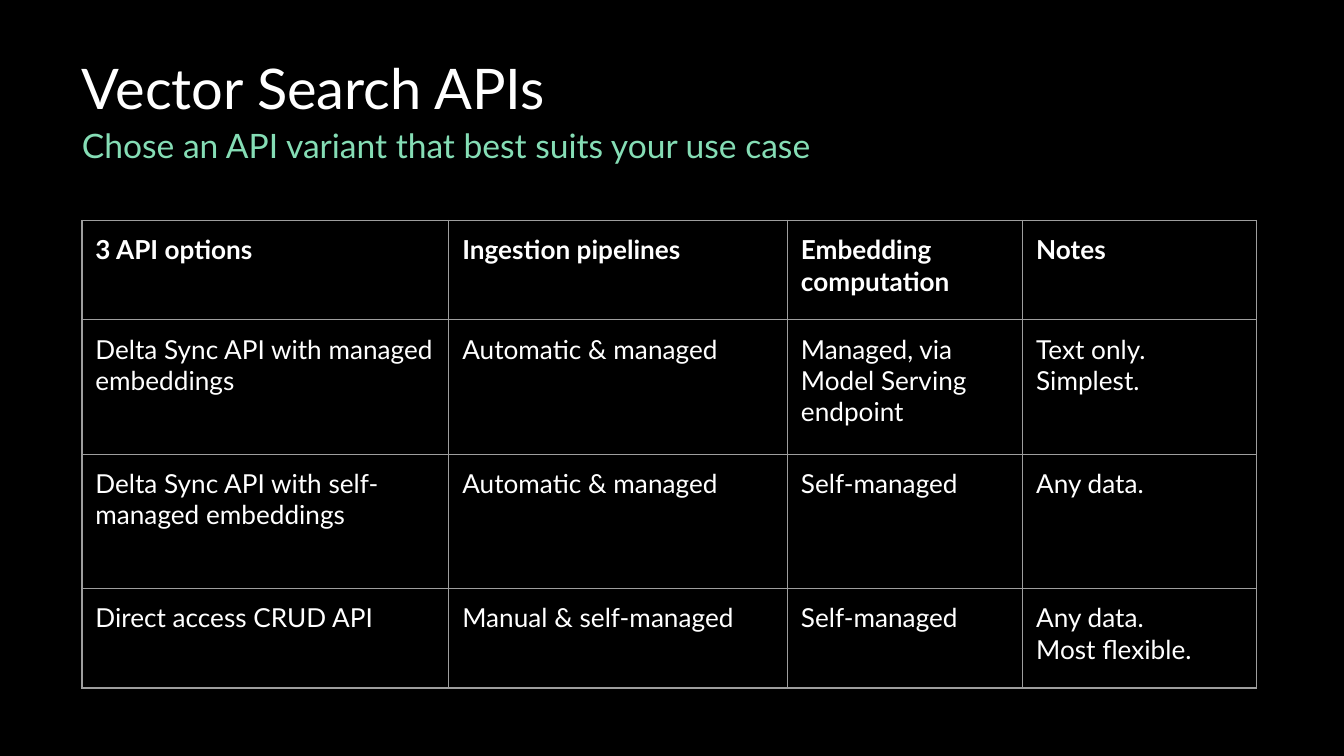
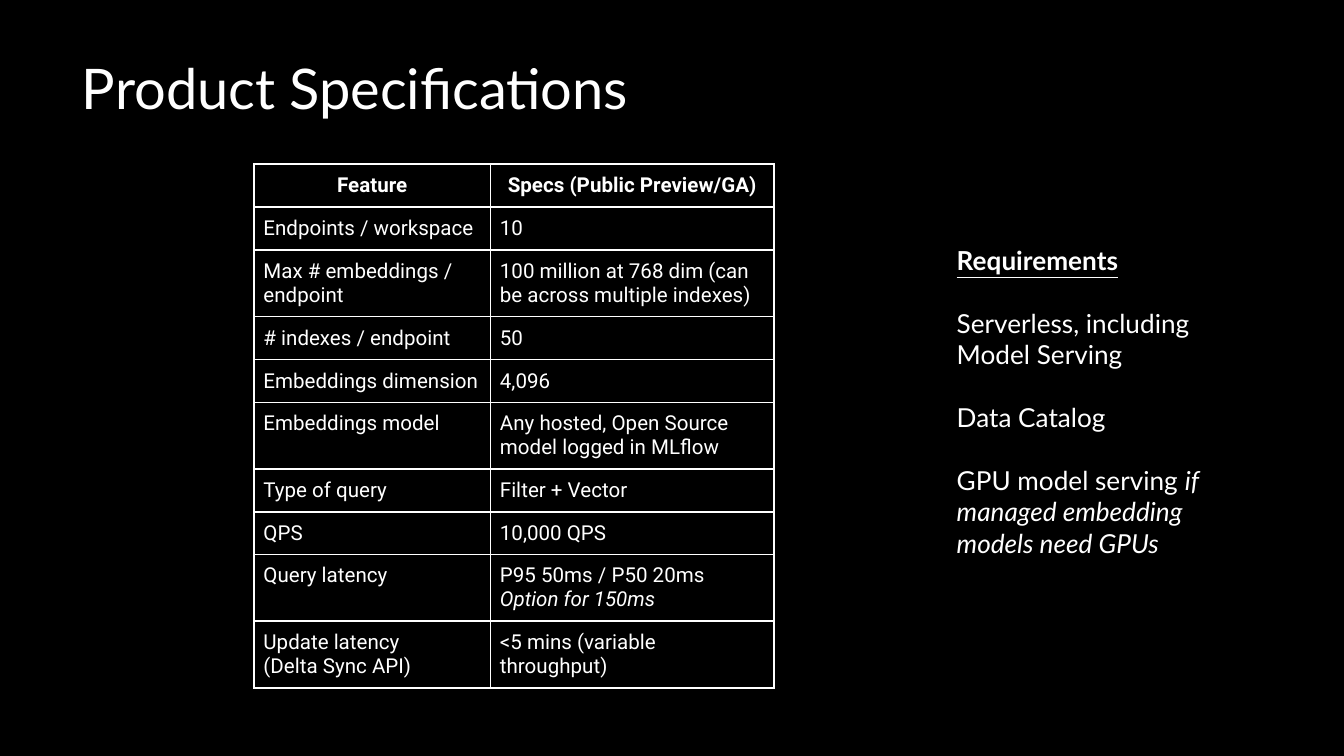
from dataclasses import dataclass
from typing import Sequence, Union

from lxml import etree
from pptx import Presentation
from pptx.dml.color import RGBColor
from pptx.enum import text as enums
from pptx.oxml import ns
from pptx.util import Inches, Length, Pt

BLACK = RGBColor(0x00, 0x00, 0x00)
WHITE = RGBColor(0xFF, 0xFF, 0xFF)
GREY = RGBColor(0x9E, 0x9E, 0x9E)
MINT = RGBColor(0x85, 0xDD, 0xB5)
HEADING_FONT = "Lato"
SPECS_FONT = "Roboto"
PAGE_WIDTH = Inches(10)
PAGE_HEIGHT = PAGE_WIDTH * 9 // 16
LEFT = Inches(0.61)


@dataclass(frozen=True)
class Span:
    text: str
    bold: bool = False
    italic: bool = False
    underline: bool = False


@dataclass(frozen=True)
class Style:
    font: str
    size: float
    color: RGBColor = WHITE
    align: enums.PP_ALIGN = enums.PP_ALIGN.LEFT
    line_spacing: float = 1.0
    gap: float = 0


Cell = Union[str, Sequence[Sequence[Span]]]


@dataclass(frozen=True)
class Grid:
    left: Length
    top: Length
    columns: Sequence[float]
    heights: Sequence[float]
    rows: Sequence[Sequence[Cell]]
    style: Style
    header_align: enums.PP_ALIGN
    inset: Length
    border: RGBColor
    border_width: Length


def plain(content: Cell, bold: bool = False) -> Sequence[Sequence[Span]]:
    """Turn each line of a string into a paragraph of one span."""
    if isinstance(content, str):
        return [[Span(line, bold)] for line in content.split("\n")]
    return content


def write(frame, paragraphs: Sequence[Sequence[Span]], style: Style,
          align: enums.PP_ALIGN) -> None:
    frame.word_wrap = True
    for index, spans in enumerate(paragraphs):
        para = frame.paragraphs[0] if index == 0 else frame.add_paragraph()
        para.alignment = align
        para.line_spacing = style.line_spacing
        para.space_before = Pt(style.gap if index else 0)
        for span in spans:
            run = para.add_run()
            run.text = span.text
            run.font.name = style.font
            run.font.size = Pt(style.size)
            run.font.color.rgb = style.color
            run.font.bold = span.bold
            run.font.italic = span.italic
            run.font.underline = span.underline


def set_insets(owner, inset: Length) -> None:
    owner.margin_left = owner.margin_right = inset
    owner.margin_top = owner.margin_bottom = inset


def fill_heading(box, words: str, top: float, style: Style,
                 anchor: enums.MSO_ANCHOR) -> None:
    box.left, box.top = LEFT, Inches(top)
    box.width, box.height = Inches(8.75), Inches(0.48)
    frame = box.text_frame
    frame.auto_size = enums.MSO_AUTO_SIZE.NONE
    frame.vertical_anchor = anchor
    set_insets(frame, Inches(0))
    write(frame, plain(words), style, style.align)


def add_page(deck, layout: int, title: str):
    page = deck.slides.add_slide(deck.slide_layouts[layout])
    style = Style(HEADING_FONT, 30, line_spacing=0.9)
    fill_heading(page.shapes.title, title, 0.44, style, enums.MSO_ANCHOR.MIDDLE)
    return page


def set_borders(cell, color: RGBColor, width: Length) -> None:
    properties = cell._tc.get_or_add_tcPr()
    for side in ("a:lnL", "a:lnR", "a:lnT", "a:lnB"):
        line = etree.SubElement(properties, ns.qn(side), w=str(int(width)))
        solid = etree.SubElement(line, ns.qn("a:solidFill"))
        etree.SubElement(solid, ns.qn("a:srgbClr"), val=str(color))


def add_grid(page, grid: Grid) -> None:
    table = page.shapes.add_table(
        len(grid.rows), len(grid.columns), grid.left, grid.top,
        Inches(sum(grid.columns)), Inches(sum(grid.heights))).table
    table.horz_banding = False
    table.first_row = False
    for column, width in zip(table.columns, grid.columns):
        column.width = Inches(width)
    for row, height in zip(table.rows, grid.heights):
        row.height = Inches(height)
    for row_index, contents in enumerate(grid.rows):
        header = row_index == 0
        align = grid.header_align if header else grid.style.align
        for column_index, content in enumerate(contents):
            cell = table.cell(row_index, column_index)
            set_insets(cell, grid.inset)
            set_borders(cell, grid.border, grid.border_width)
            cell.fill.background()
            write(cell.text_frame, plain(content, bold=header), grid.style, align)


API_GRID = Grid(
    left=LEFT, top=Inches(1.64),
    columns=(2.73, 2.52, 1.75, 1.74),
    heights=(0.74, 1, 1, 0.74),
    rows=(
        ("3 API options", "Ingestion pipelines", "Embedding computation", "Notes"),
        ("Delta Sync API with managed embeddings", "Automatic & managed",
         "Managed, via Model Serving endpoint", "Text only.\nSimplest."),
        ("Delta Sync API with self-managed embeddings", "Automatic & managed",
         "Self-managed", "Any data."),
        ("Direct access CRUD API", "Manual & self-managed",
         "Self-managed", "Any data.\nMost flexible."),
    ),
    style=Style(HEADING_FONT, 14), header_align=enums.PP_ALIGN.LEFT,
    inset=Inches(0.1), border=GREY, border_width=Pt(0.75),
)

SPECS_GRID = Grid(
    left=Inches(1.89), top=Inches(1.22),
    columns=(1.76, 2.11),
    heights=(0.32,) * 4 + (0.29,) * 6,
    rows=(
        ("Feature", "Specs (Public Preview/GA)"),
        ("Endpoints / workspace", "10"),
        ("Max # embeddings / endpoint",
         "100 million at 768 dim (can be across multiple indexes)"),
        ("# indexes / endpoint", "50"),
        ("Embeddings dimension", "4,096"),
        ("Embeddings model", "Any hosted, Open Source model logged in MLflow"),
        ("Type of query", "Filter + Vector"),
        ("QPS", "10,000 QPS"),
        ("Query latency", [[Span("P95 50ms / P50 20ms")],
                           [Span("Option for 150ms", italic=True)]]),
        ("Update latency\n(Delta Sync API)", "<5 mins (variable throughput)"),
    ),
    style=Style(SPECS_FONT, 11), header_align=enums.PP_ALIGN.CENTER,
    inset=Inches(0.07), border=WHITE, border_width=Pt(1),
)

REQUIREMENTS = (
    [Span("Requirements", bold=True, underline=True)],
    [Span("Serverless, including Model Serving")],
    [Span("Data Catalog")],
    [Span("GPU model serving "),
     Span("if managed embedding models need GPUs", italic=True)],
)


def add_api_page(deck) -> None:
    page = add_page(deck, 0, "Vector Search APIs")
    fill_heading(page.placeholders[1],
                 "Chose an API variant that best suits your use case", 0.96,
                 Style(HEADING_FONT, 18, MINT, line_spacing=0.9),
                 enums.MSO_ANCHOR.TOP)
    add_grid(page, API_GRID)


def add_specs_page(deck) -> None:
    page = add_page(deck, 5, "Product Specifications")
    add_grid(page, SPECS_GRID)
    box = page.shapes.add_textbox(Inches(7.02), Inches(1.72),
                                  Inches(2.42), Inches(2.56))
    frame = box.text_frame
    frame.auto_size = enums.MSO_AUTO_SIZE.SHAPE_TO_FIT_TEXT
    set_insets(frame, Inches(0.1))
    style = Style(HEADING_FONT, 14, gap=16.8)
    write(frame, REQUIREMENTS, style, style.align)


def main() -> None:
    deck = Presentation()
    deck.slide_width, deck.slide_height = PAGE_WIDTH, PAGE_HEIGHT
    backdrop = deck.slide_master.background.fill
    backdrop.solid()
    backdrop.fore_color.rgb = BLACK
    add_api_page(deck)
    add_specs_page(deck)
    deck.save("out.pptx")


if __name__ == "__main__":
    main()
